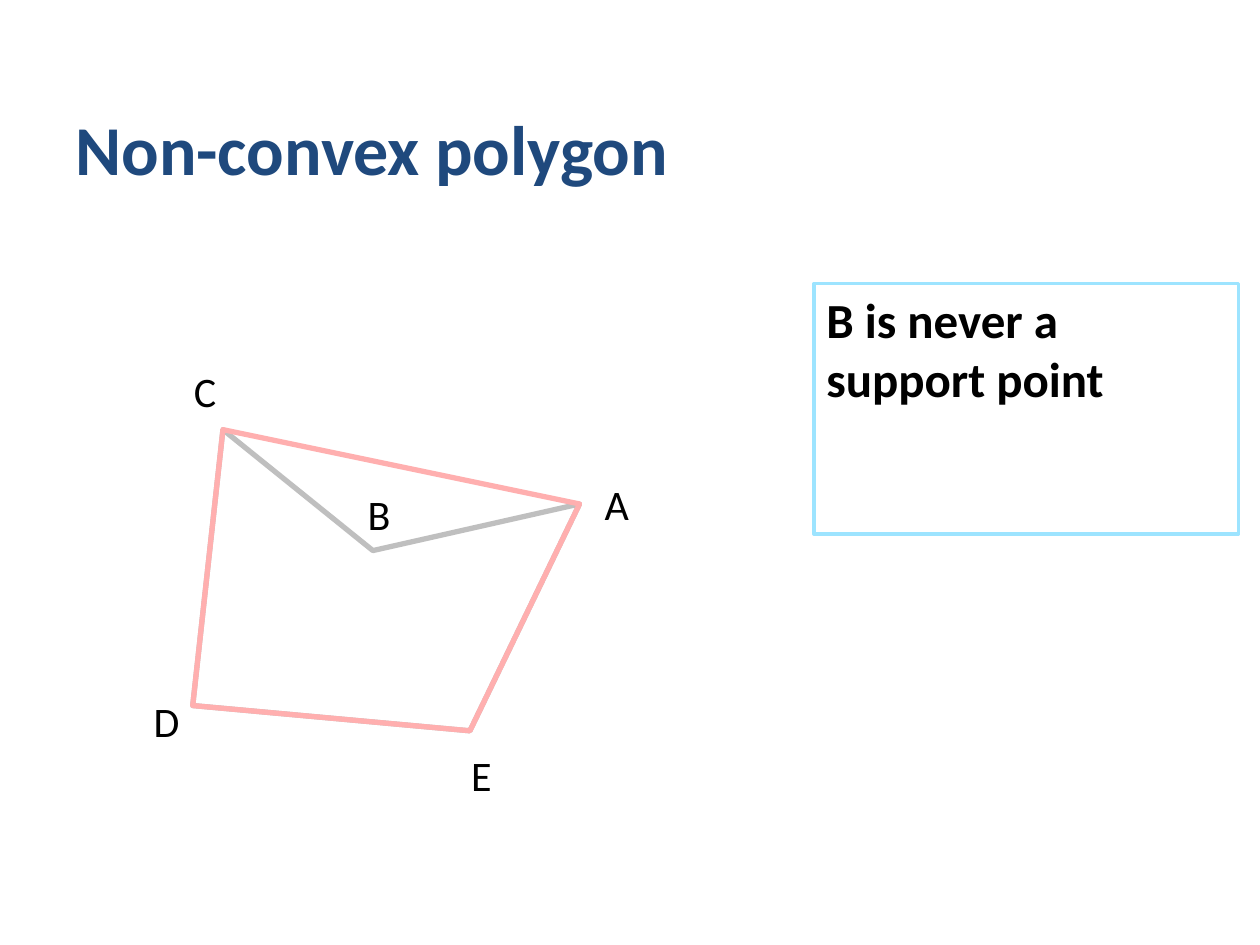
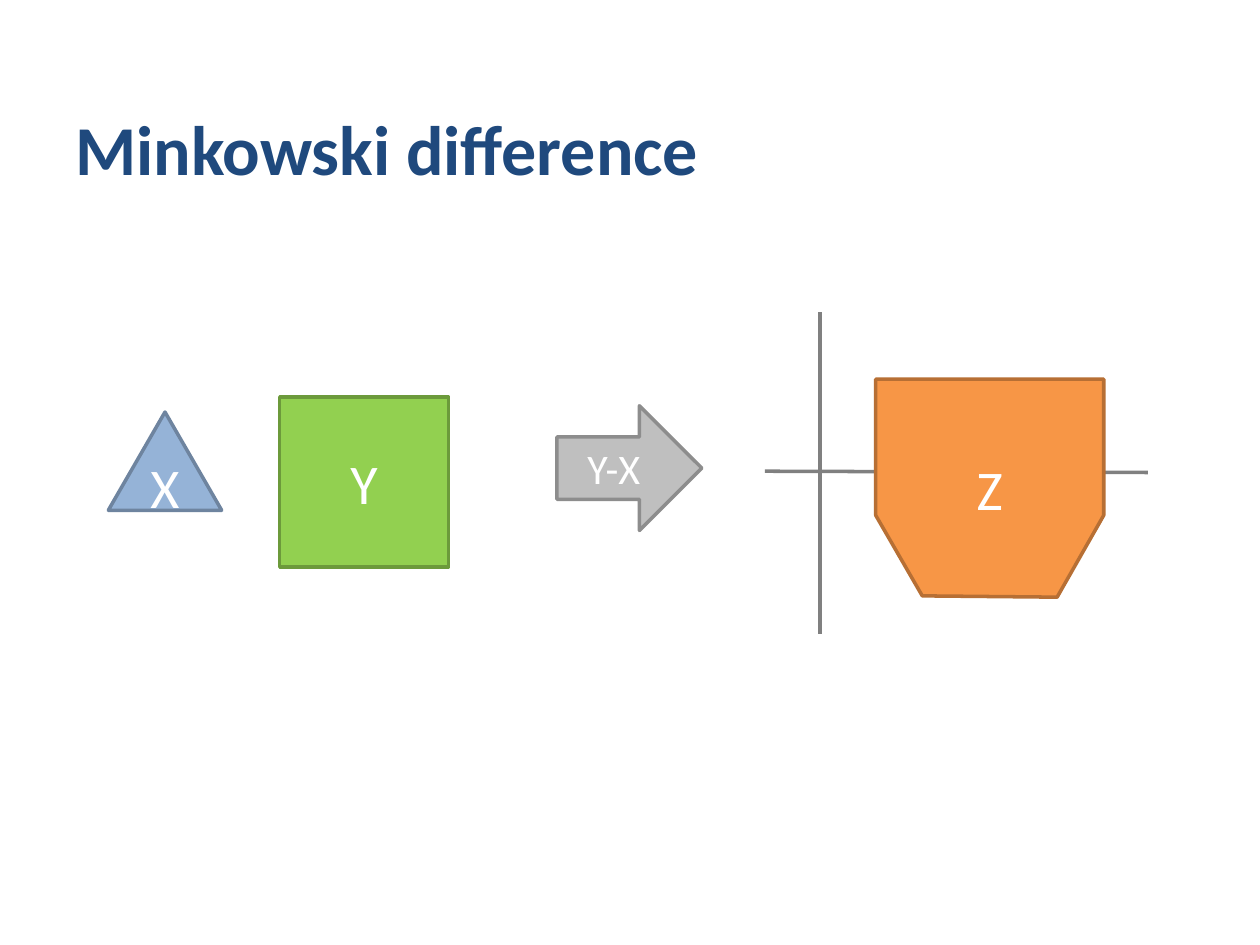
from lxml.etree import SubElement
from pptx import Presentation
from pptx.dml.color import RGBColor
from pptx.enum.shapes import MSO_CONNECTOR as Link, MSO_SHAPE as Kind
from pptx.enum.text import MSO_ANCHOR as Anchor, PP_ALIGN as Align
from pptx.oxml.ns import qn
from pptx.util import Pt

PX = 9144
NAVY, BLACK, WHITE = "1F497D", "000000", "FFFFFF"
SKY, GREY, PINK, AXIS = "9DE4FF", "BFBFBF", "FFAFAF", "808080"
hue = RGBColor.from_string


def write(shape, text, size=32, color=WHITE, bold=False,
          anchor=Anchor.MIDDLE, align=Align.CENTER, wrap=True):
    frame = shape.text_frame
    frame.word_wrap = wrap
    frame.vertical_anchor = anchor
    line = frame.paragraphs[0]
    line.alignment = align
    run = line.add_run()
    run.text = text
    font = run.font
    font.name, font.size, font.bold = "Calibri", Pt(size), bold
    font.color.rgb = hue(color)


def paint(shape, fill, edge, width=2):
    shape.shadow.inherit = False
    if fill:
        shape.fill.solid()
        shape.fill.fore_color.rgb = hue(fill)
    else:
        shape.fill.background()
    shape.line.color.rgb = hue(edge)
    shape.line.width = Pt(width)


deck = Presentation()
deck.slide_width, deck.slide_height = 1000 * PX, 750 * PX
slides = []
for title in ("Non-convex polygon", "Minkowski difference"):
    slide = deck.slides.add_slide(deck.slide_layouts[6])
    box = slide.shapes.add_textbox(50 * PX, 13 * PX, 825 * PX, 142 * PX)
    write(box, title, size=40, color=NAVY, bold=True,
          anchor=Anchor.BOTTOM, align=Align.LEFT)
    slides.append(slide)
hull, diff = [slide.shapes for slide in slides]

note = hull.add_shape(Kind.RECTANGLE, 646 * PX, 225 * PX, 337 * PX, 199 * PX)
paint(note, WHITE, SKY)
write(note, "B is never a support point", size=28, color=BLACK, bold=True,
      anchor=Anchor.TOP, align=Align.LEFT)

ring = [(177, 341), (153, 560), (373, 580), (460, 400)]
dent = (296, 437)
for points, color in ((ring + [dent], GREY), (ring, PINK)):
    pen = hull.build_freeform(*points[0], scale=PX)
    pen.add_line_segments(points[1:], close=True)
    paint(pen.convert_to_shape(), None, color, 3)

for name, x, y, w in (("A", 470, 375, 40), ("B", 282, 383, 38),
                      ("C", 144, 285, 38), ("D", 112, 547, 41),
                      ("E", 364, 590, 37)):
    tag = hull.add_textbox(x * PX, y * PX, w * PX, 50 * PX)
    write(tag, name, size=24, color=BLACK, anchor=Anchor.TOP,
          align=Align.LEFT, wrap=False)

for kind, text, size, fill, edge, spot in (
    (Kind.RECTANGLE, "Y", 32, "92D050", "6C9A3B", (222, 315, 134, 135)),
    (Kind.ISOSCELES_TRIANGLE, "X", 32, "95B3D7", "6E849F", (86, 327, 90, 78)),
    (Kind.RIGHT_ARROW, "Y-X", 24, GREY, "8D8D8D", (442, 322, 115, 99)),
):
    shape = diff.add_shape(kind, *[n * PX for n in spot])
    paint(shape, fill, edge)
    write(shape, text, size=size)

for ends in ((651, 248, 651, 503), (607, 374, 911, 375)):
    axis = diff.add_connector(Link.STRAIGHT, *[n * PX for n in ends])
    axis.line.color.rgb = hue(AXIS)
    axis.line.width = Pt(2)
    SubElement(axis._element.spPr, qn("a:effectLst"))

pen = diff.build_freeform(695, 301, scale=PX)
pen.add_line_segments([(695, 409), (732, 473), (839, 474), (876, 409),
                       (876, 301)], close=True)
result = pen.convert_to_shape()
paint(result, "F79646", "B76F34")
write(result, "Z")

deck.save("out.pptx")
